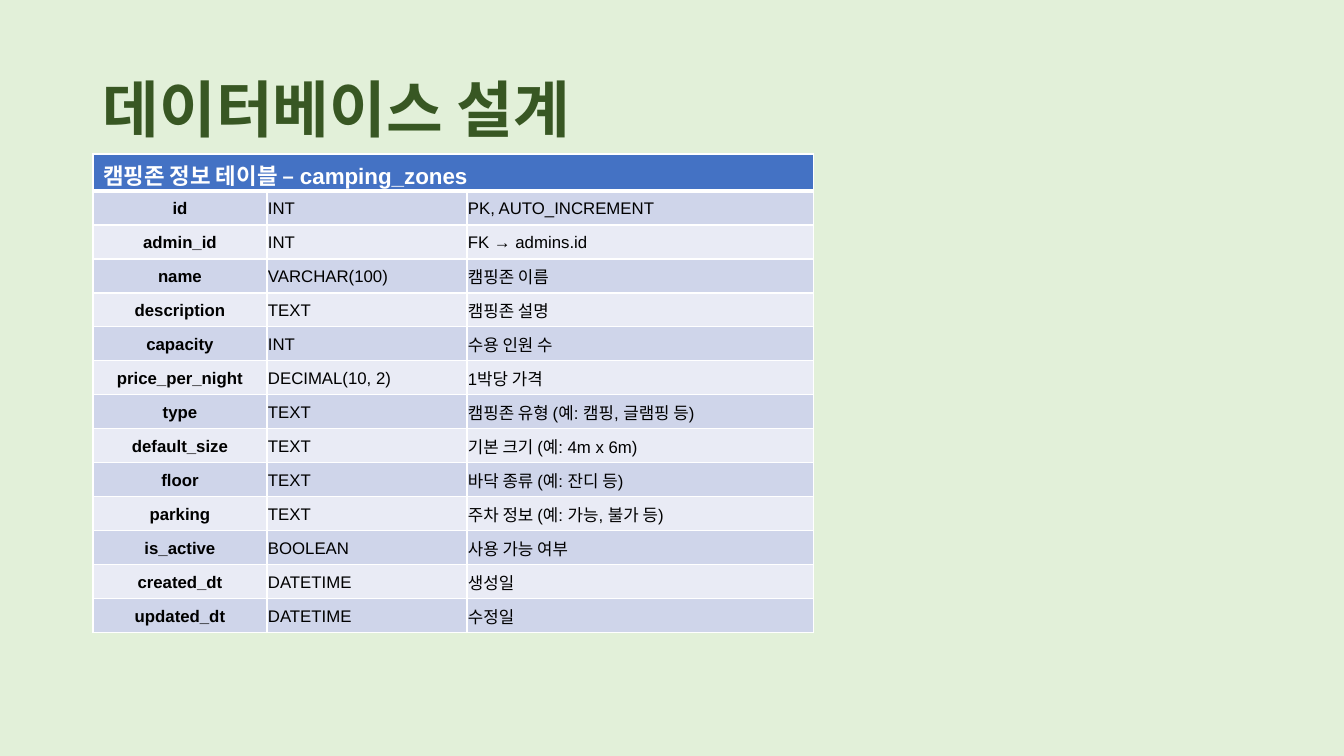
import pptx
import pptx.dml.color
import pptx.enum.text
import pptx.oxml
import pptx.oxml.ns
import pptx.util

SCALE = 914400 / 100.8  # EMU per px
FONT = "Arial"
WHITE = "FFFFFF"
ANCHOR = pptx.enum.text.MSO_ANCHOR
ALIGN = pptx.enum.text.PP_ALIGN


def px(length):
    return pptx.util.Emu(round(length * SCALE))


def color(value):
    return pptx.dml.color.RGBColor.from_string(value)


# Slide and background
presentation = pptx.Presentation()
presentation.slide_width = px(1344)
presentation.slide_height = px(756)
slide = presentation.slides.add_slide(presentation.slide_layouts[6])
slide.background.fill.solid()
slide.background.fill.fore_color.rgb = color("E2F0D9")

# Title
title = slide.shapes.add_textbox(px(93), px(40), px(1159), px(146))
title.text_frame.word_wrap = True
title.text_frame.vertical_anchor = ANCHOR.MIDDLE
title.text_frame.text = "데이터베이스 설계"
paragraph = title.text_frame.paragraphs[0]
paragraph.line_spacing = 0.9
font = paragraph.runs[0].font
font.name, font.size, font.bold = FONT, pptx.util.Pt(44), True
font.color.rgb = color("385723")

# Table contents: column name, data type, explanation
rows = [
    ("캠핑존 정보 테이블 – camping_zones", "", ""),
    ("id", "INT", "PK, AUTO_INCREMENT"),
    ("admin_id", "INT", "FK → admins.id"),
    ("name", "VARCHAR(100)", "캠핑존 이름"),
    ("description", "TEXT", "캠핑존 설명"),
    ("capacity", "INT", "수용 인원 수"),
    ("price_per_night", "DECIMAL(10, 2)", "1박당 가격"),
    ("type", "TEXT", "캠핑존 유형 (예: 캠핑, 글램핑 등)"),
    ("default_size", "TEXT", "기본 크기 (예: 4m x 6m)"),
    ("floor", "TEXT", "바닥 종류 (예: 잔디 등)"),
    ("parking", "TEXT", "주차 정보 (예: 가능, 불가 등)"),
    ("is_active", "BOOLEAN", "사용 가능 여부"),
    ("created_dt", "DATETIME", "생성일"),
    ("updated_dt", "DATETIME", "수정일"),
]
column_widths = [174, 200, 347]
row_height = 34

# Table grid
table = slide.shapes.add_table(
    len(rows), len(column_widths), px(93), px(154),
    px(sum(column_widths)), px(row_height * len(rows))).table
for column, width in zip(table.columns, column_widths):
    column.width = px(width)
for row in table.rows:
    row.height = px(row_height)
table.cell(0, 0).merge(table.cell(0, 2))

# Cell text, fills and borders
for row_index, values in enumerate(rows):
    is_header = row_index == 0
    fill = "4472C4" if is_header else ("E9EBF5", "CFD5EA")[row_index % 2]
    for column_index, value in enumerate(values):
        cell = table.cell(row_index, column_index)
        cell.fill.solid()
        cell.fill.fore_color.rgb = color(fill)

        # The line under the header is thicker than the others
        widths = {"lnL": 1, "lnR": 1, "lnT": 3 if row_index == 1 else 1, "lnB": 3 if is_header else 1}
        for position, (side, points) in enumerate(widths.items()):
            border = pptx.oxml.parse_xml(
                f'<a:{side} {pptx.oxml.ns.nsdecls("a")} w="{pptx.util.Pt(points)}">'
                f'<a:solidFill><a:srgbClr val="{WHITE}"/></a:solidFill></a:{side}>')
            cell._tc.get_or_add_tcPr().insert(position, border)

        if not value:
            continue
        cell.text_frame.text = value
        paragraph = cell.text_frame.paragraphs[0]
        font = paragraph.runs[0].font
        font.name = FONT
        font.size = pptx.util.Pt(16 if is_header else 12)
        font.bold = column_index == 0
        font.color.rgb = color(WHITE if is_header else "000000")
        if not is_header:
            cell.vertical_anchor = ANCHOR.MIDDLE
            cell.margin_left = cell.margin_right = cell.margin_top = px(1)
            cell.margin_bottom = 0
            paragraph.alignment = ALIGN.CENTER if column_index == 0 else ALIGN.LEFT

presentation.save("out.pptx")
